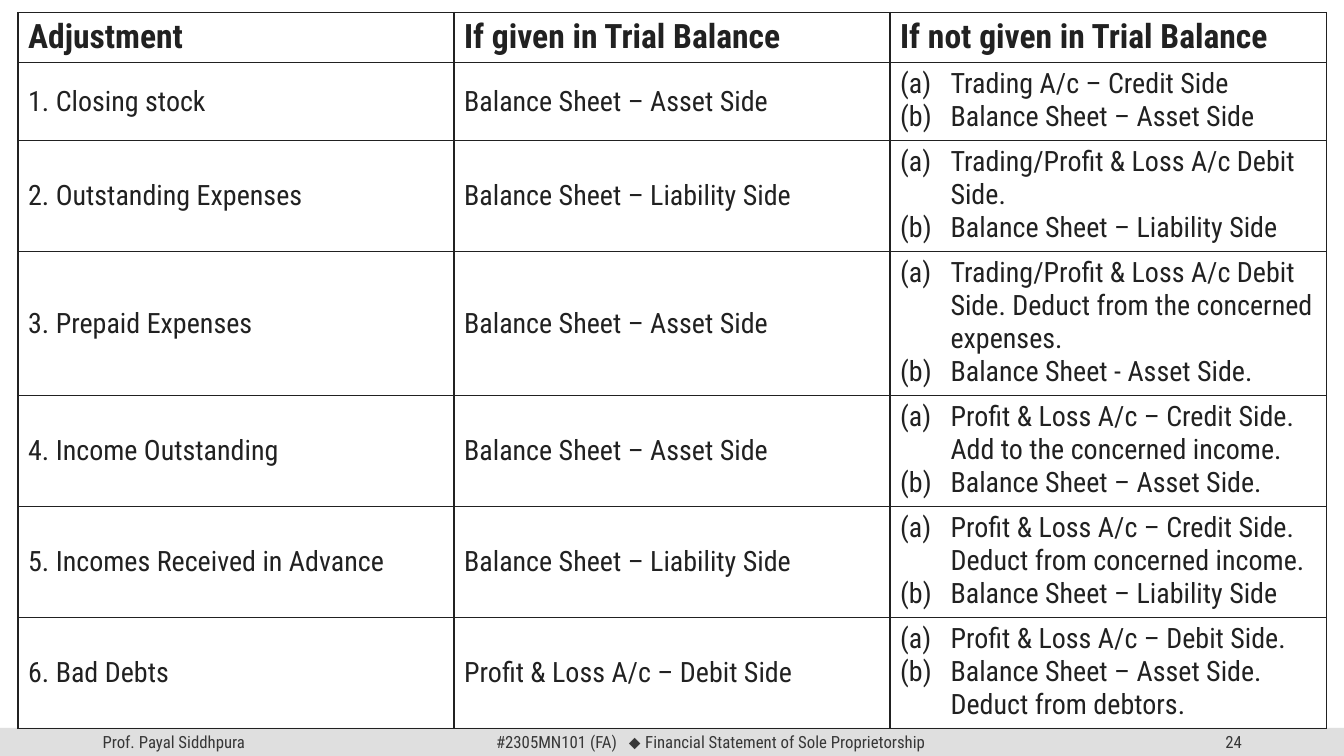
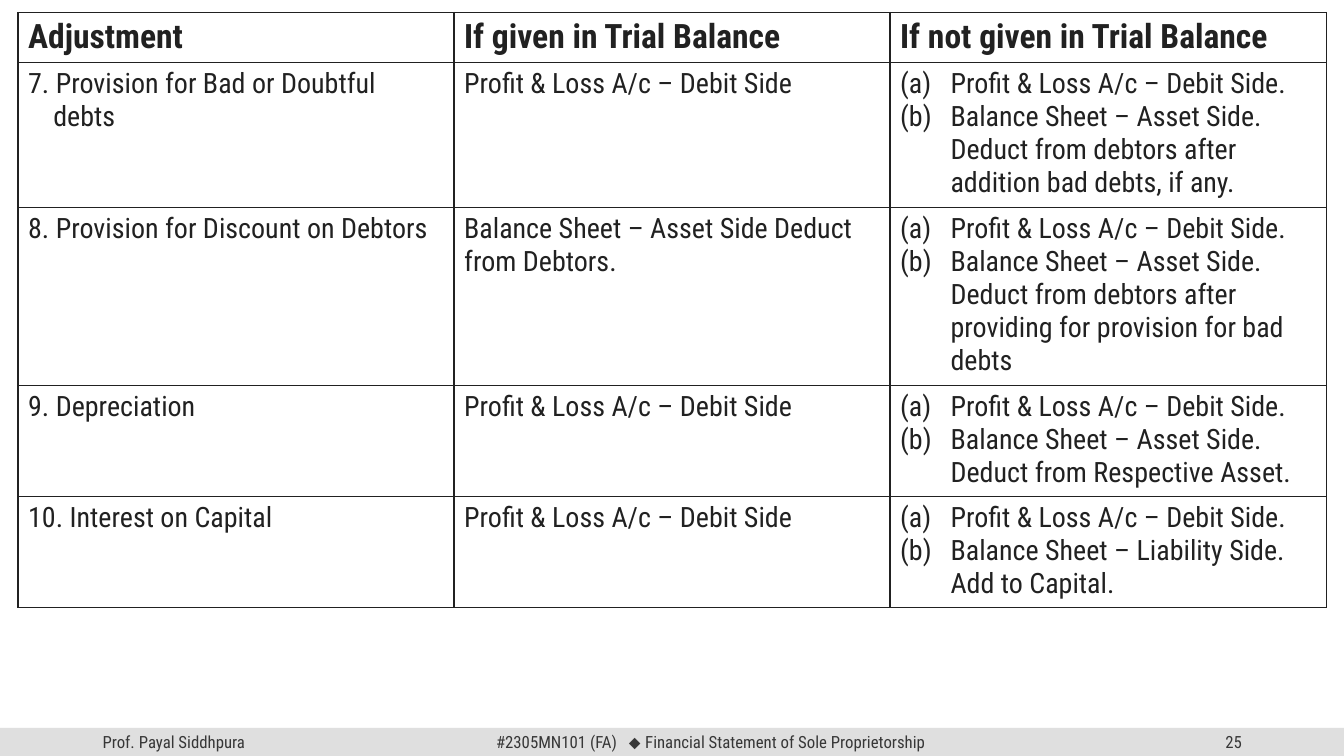
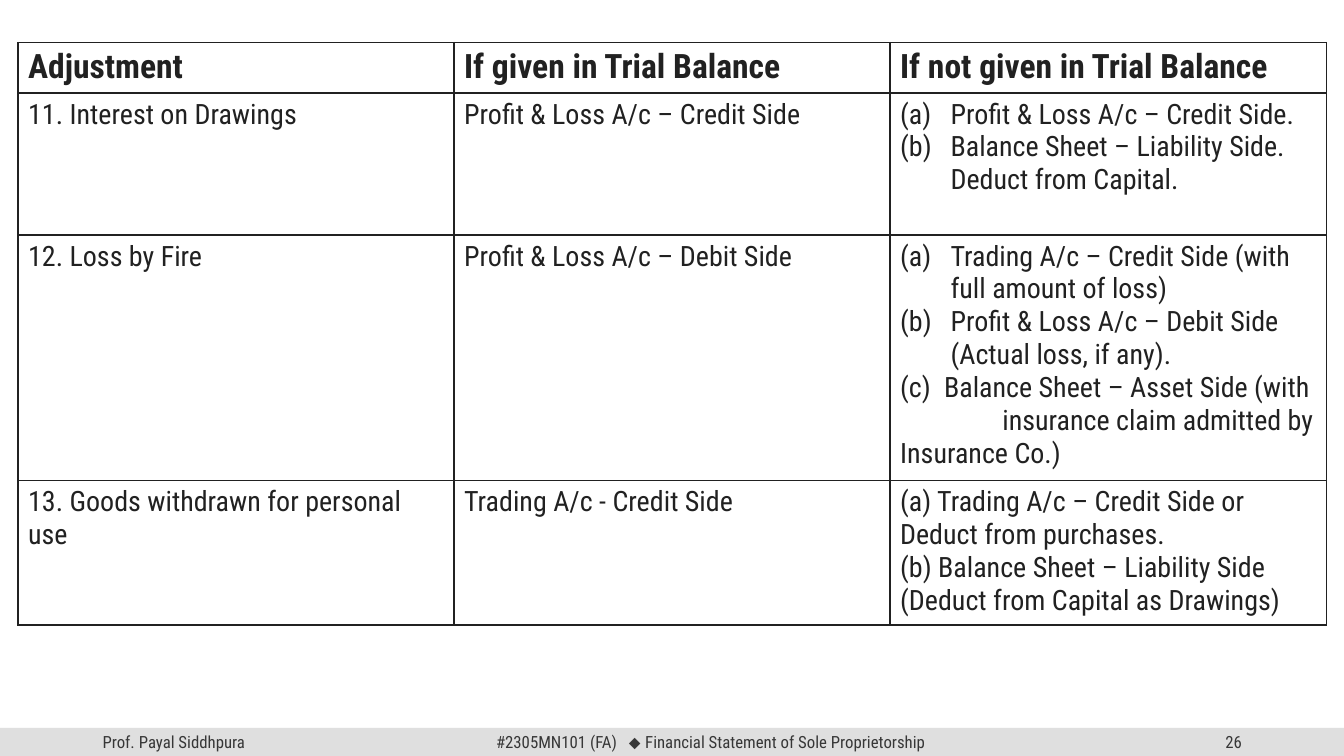
from dataclasses import dataclass

from lxml import etree
from pptx import Presentation
from pptx.dml.color import RGBColor
from pptx.enum.shapes import MSO_SHAPE
from pptx.enum.text import MSO_ANCHOR, PP_ALIGN
from pptx.oxml.ns import qn
from pptx.util import Pt

RECTANGLE = MSO_SHAPE.RECTANGLE
MIDDLE, TOP = MSO_ANCHOR.MIDDLE, MSO_ANCHOR.TOP
LEFT, CENTER, RIGHT = PP_ALIGN.LEFT, PP_ALIGN.CENTER, PP_ALIGN.RIGHT

COLORS = {"ink": "212121", "footer_text": "373737", "footer_band": "DFDFDF"}
FONT = "Roboto Condensed"
SYMBOL_FONT = "Arial"
BLANK_LAYOUT = 6
SLIDE_WIDTH, SLIDE_HEIGHT = 960, 540
FOOTER_TOP, FOOTER_HEIGHT = 519.9, 20.1
TABLE_LEFT, COLUMN_WIDTH = 12.9, 311.45
HEADER_HEIGHT, LINE_HEIGHT, CELL_PADDING = 35, 23.55, 7.2
HEADINGS = ["Adjustment", "If given in Trial Balance", "If not given in Trial Balance"]


@dataclass
class Line:
    text: str
    margin: float = 0
    indent: float = 0
    letter: int = 0


@dataclass
class Entry:
    lines: int
    adjustment: Line
    given: str
    not_given: list


def lettered(*texts):
    return [Line(text, 36, -36, 1) for text in texts]


def plain(*texts):
    return [Line(text) for text in texts]


class Deck:
    def __init__(self):
        self.presentation = Presentation()
        self.presentation.slide_width = Pt(SLIDE_WIDTH)
        self.presentation.slide_height = Pt(SLIDE_HEIGHT)
        self.slide = None

    def add_slide(self, number):
        layout = self.presentation.slide_layouts[BLANK_LAYOUT]
        self.slide = self.presentation.slides.add_slide(layout)
        self.band()
        self.footer_text(66.2, 216, LEFT, ["Prof. Payal Siddhpura"])
        self.footer_text(678.2, 216, RIGHT, [str(number)])
        runs = self.footer_text(319, 377.3, CENTER, [
            "#2305MN101 (FA)", " ", "⬥ ", "Financial Statement of Sole Proprietorship"])
        runs[1].font._element.set("spc", "550")
        runs[2].font.name = SYMBOL_FONT

    def style(self, font, size, color, bold=False):
        font.name = FONT
        font.size = Pt(size)
        font.bold = bold
        font.color.rgb = RGBColor.from_string(COLORS[color])

    def band(self):
        shape = self.slide.shapes.add_shape(
            RECTANGLE, 0, Pt(FOOTER_TOP), Pt(SLIDE_WIDTH), Pt(FOOTER_HEIGHT))
        shape.shadow.inherit = False
        shape.fill.solid()
        shape.fill.fore_color.rgb = RGBColor.from_string(COLORS["footer_band"])
        shape.line.fill.background()

    def footer_text(self, left, width, alignment, texts):
        shape = self.slide.shapes.add_textbox(
            Pt(left), Pt(FOOTER_TOP), Pt(width), Pt(FOOTER_HEIGHT))
        text_frame = shape.text_frame
        text_frame.word_wrap = True
        text_frame.vertical_anchor = MIDDLE
        paragraph = text_frame.paragraphs[0]
        paragraph.alignment = alignment
        for text in texts:
            run = paragraph.add_run()
            run.text = text
            self.style(run.font, 12, "footer_text")
        return paragraph.runs

    def borders(self, cell):
        properties = cell._tc.get_or_add_tcPr()
        for side in ("lnL", "lnR", "lnT", "lnB"):
            line = etree.SubElement(properties, qn(f"a:{side}"), w=str(Pt(1)))
            fill = etree.SubElement(line, qn("a:solidFill"))
            etree.SubElement(fill, qn("a:srgbClr"), val=COLORS["ink"])

    def cell(self, cell, lines, size=20, bold=False, anchor=TOP):
        self.borders(cell)
        cell.fill.background()
        cell.vertical_anchor = anchor
        cell.text_frame.text = "\n".join(line.text for line in lines)
        for paragraph, line in zip(cell.text_frame.paragraphs, lines):
            properties = paragraph._p.get_or_add_pPr()
            properties.set("marL", str(Pt(line.margin)))
            properties.set("indent", str(Pt(line.indent)))
            if line.letter:
                bullet = etree.SubElement(
                    properties, qn("a:buAutoNum"), type="alphaLcParenBoth")
                if line.letter > 1:
                    bullet.set("startAt", str(line.letter))
            for run in paragraph.runs:
                self.style(run.font, size, "ink", bold)

    def table(self, top, entries, anchor):
        heights = [HEADER_HEIGHT] + [
            CELL_PADDING + LINE_HEIGHT * entry.lines for entry in entries]
        table = self.slide.shapes.add_table(
            len(heights), len(HEADINGS), Pt(TABLE_LEFT), Pt(top),
            Pt(COLUMN_WIDTH * len(HEADINGS)), Pt(sum(heights))).table
        table.first_row = False
        table.horz_banding = False
        for column in table.columns:
            column.width = Pt(COLUMN_WIDTH)
        for row, height in zip(table.rows, heights):
            row.height = Pt(height)
        for index, heading in enumerate(HEADINGS):
            self.cell(table.cell(0, index), plain(heading), size=24, bold=True)
        for index, entry in enumerate(entries, start=1):
            self.cell(table.cell(index, 0), [entry.adjustment], anchor=anchor)
            self.cell(table.cell(index, 1), plain(entry.given), anchor=anchor)
            self.cell(table.cell(index, 2), entry.not_given)


ASSET = "Balance Sheet – Asset Side"
LIABILITY = "Balance Sheet – Liability Side"
DEBIT = "Profit & Loss A/c – Debit Side"
CREDIT = "Profit & Loss A/c – Credit Side"

STOCK_TO_BAD_DEBTS = [
    Entry(2, Line("1. Closing stock"), ASSET,
          lettered("Trading A/c – Credit Side", ASSET)),
    Entry(3, Line("2. Outstanding Expenses"), LIABILITY,
          lettered("Trading/Profit & Loss A/c Debit Side.", LIABILITY)),
    Entry(4, Line("3. Prepaid Expenses"), ASSET,
          lettered("Trading/Profit & Loss A/c Debit Side. Deduct from the concerned expenses.",
                   "Balance Sheet - Asset Side.")),
    Entry(3, Line("4. Income Outstanding"), ASSET,
          lettered(f"{CREDIT}. Add to the concerned income.", f"{ASSET}.")),
    Entry(3, Line("5. Incomes Received in Advance"), LIABILITY,
          lettered(f"{CREDIT}. Deduct from concerned income.", LIABILITY)),
    Entry(3, Line("6. Bad Debts"), DEBIT,
          lettered(f"{DEBIT}.", f"{ASSET}. Deduct from debtors.")),
]

PROVISIONS_TO_CAPITAL = [
    Entry(4, Line("7. Provision for Bad or Doubtful\vdebts", 18, -18), DEBIT,
          lettered(f"{DEBIT}.",
                   f"{ASSET}. Deduct from debtors after addition bad debts, if any.")),
    Entry(5, Line("8. Provision for Discount on Debtors"), f"{ASSET} Deduct from Debtors.",
          lettered(f"{DEBIT}.",
                   f"{ASSET}. Deduct from debtors after providing for provision for bad debts")),
    Entry(3, Line("9. Depreciation"), DEBIT,
          lettered(f"{DEBIT}.", f"{ASSET}. Deduct from Respective Asset.")),
    Entry(3, Line("10. Interest on Capital"), DEBIT,
          lettered(f"{DEBIT}.", f"{LIABILITY}. Add to Capital.")),
]

DRAWINGS_TO_GOODS = [
    Entry(4, Line("11. Interest on Drawings"), CREDIT,
          lettered(f"{CREDIT}.", f"{LIABILITY}. Deduct from Capital.")),
    Entry(7, Line("12. Loss by Fire"), DEBIT,
          lettered("Trading A/c – Credit Side (with full amount of loss)",
                   f"{DEBIT} (Actual loss, if any).")
          + [Line(f"{ASSET} (with", 31.4, -31.4, 3),
             Line("insurance claim admitted by", 73),
             Line("Insurance Co.)")]),
    Entry(4, Line("13. Goods withdrawn for personal use"), "Trading A/c - Credit Side",
          plain("(a) Trading A/c – Credit Side or", "Deduct from purchases.",
                f"(b) {LIABILITY} (Deduct from Capital as Drawings)")),
]


def main():
    deck = Deck()
    pages = [
        (24, 8.9, STOCK_TO_BAD_DEBTS, MIDDLE),
        (25, 8.9, PROVISIONS_TO_CAPITAL, TOP),
        (26, 30.4, DRAWINGS_TO_GOODS, TOP),
    ]
    for number, top, entries, anchor in pages:
        deck.add_slide(number)
        deck.table(top, entries, anchor)
    deck.presentation.save("out.pptx")


if __name__ == "__main__":
    main()
